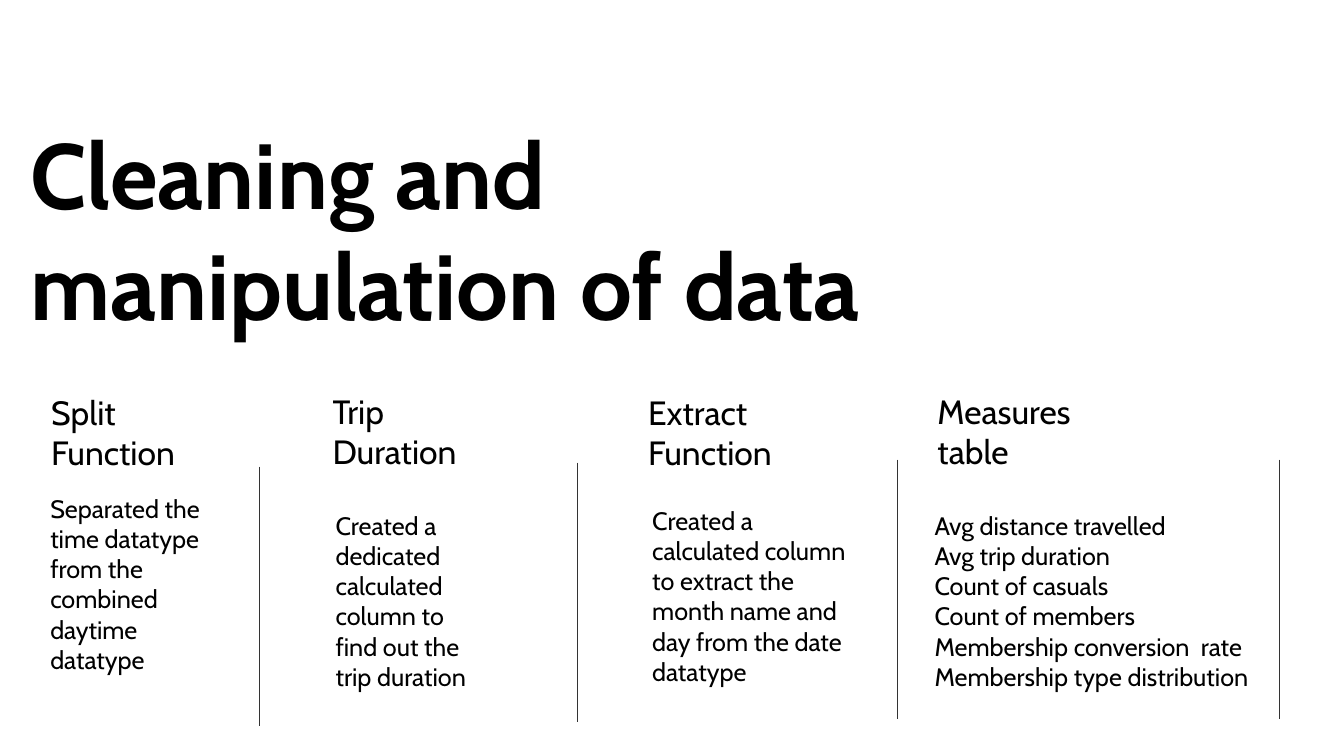
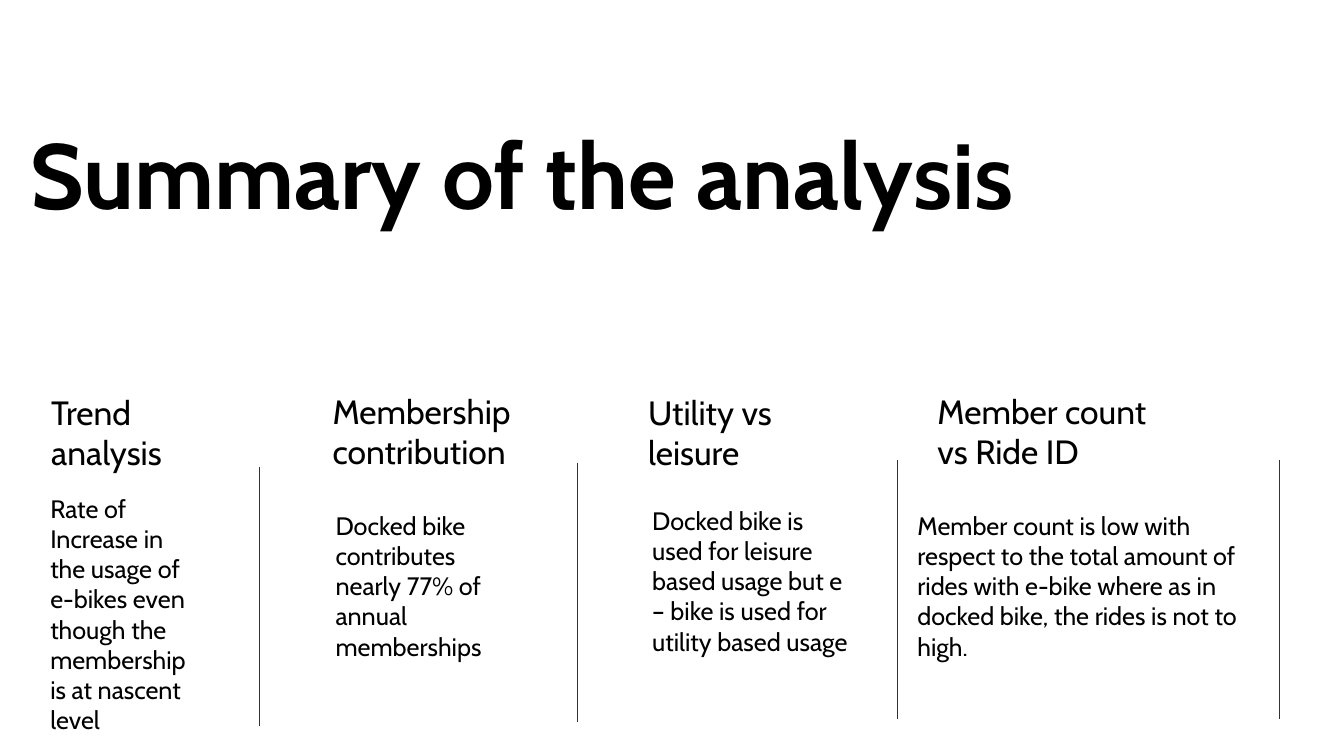
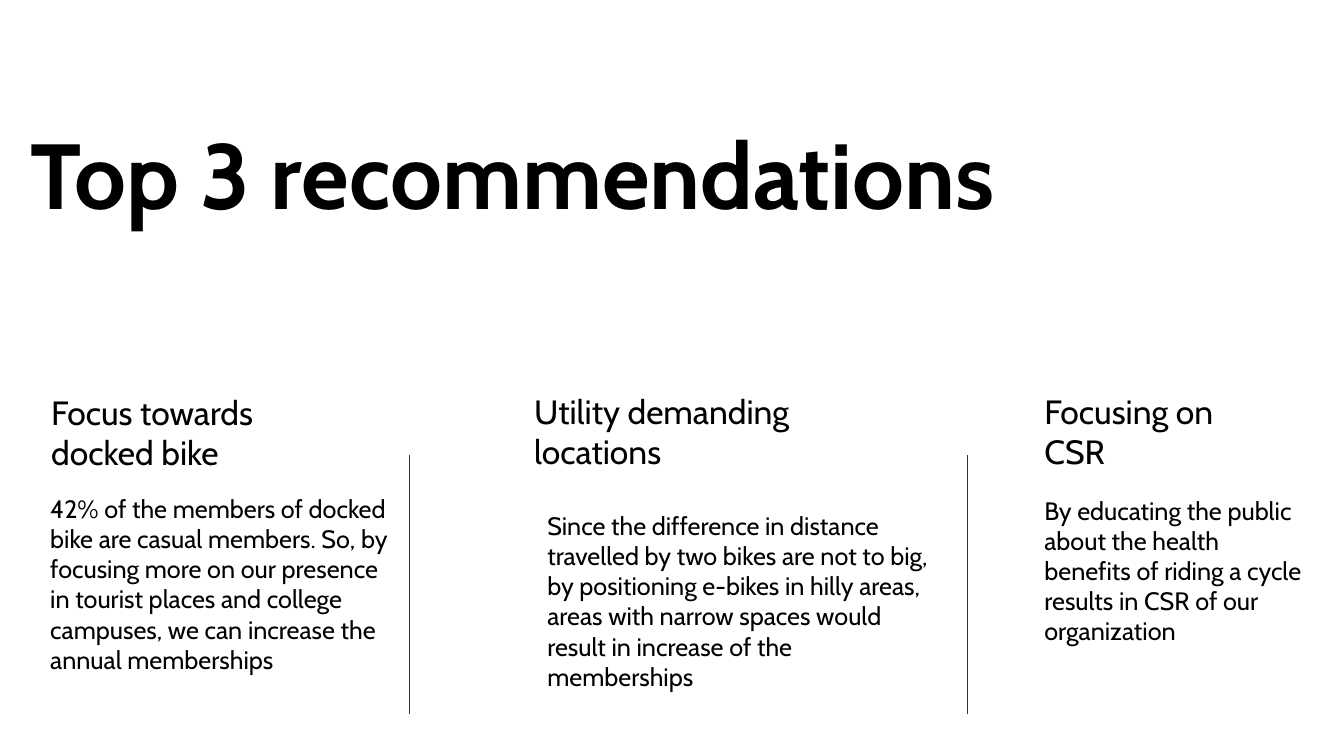
from lxml import etree
from pptx import Presentation
from pptx.dml.color import RGBColor
from pptx.enum.shapes import MSO_CONNECTOR
from pptx.enum.text import MSO_ANCHOR, MSO_AUTO_SIZE
from pptx.oxml.ns import qn
from pptx.util import Pt

STRAIGHT = MSO_CONNECTOR.STRAIGHT
TOP = MSO_ANCHOR.TOP
GROW = MSO_AUTO_SIZE.SHAPE_TO_FIT_TEXT

# Shared look: 100 px to the inch
PX = 9144
COLORS = {"background": "FFFFFF", "text": "000000", "rule": "333333"}
FRAME = {"word_wrap": True, "auto_size": GROW, "vertical_anchor": TOP}
STYLES = {
    "title": {"name": "Cabin", "size": Pt(66), "bold": True},
    "heading": {"name": "Cabin", "size": Pt(24), "bold": False},
    "body": {"name": "Cabin", "size": Pt(18), "bold": False},
}
TITLE_BOX = (20, 111, 1018, 232)
HEADING_HEIGHT = 91
RULE_HEIGHT = 257
LIST_INDENT = 17

# Rules (x, top) and column places (heading left, top, body left, top)
FOUR_RULES = [(257, 463), (573, 459), (890, 456), (1269, 456)]
FOUR_PLACES = [(41, 384, 40, 484), (320, 383, 323, 501),
               (633, 384, 637, 496), (920, 383, 900, 501)]
THREE_RULES = [(406, 451), (959, 451)]
THREE_PLACES = [(41, 384, 40, 484), (520, 383, 533, 501), (1026, 383, 1026, 486)]

# Columns: heading, heading width, body paragraphs, body width, body height
SLIDES = [
    ("Cleaning and manipulation of data", FOUR_RULES, FOUR_PLACES, [
        ("Split Function", 196,
         ["Separated the time datatype from the combined daytime datatype"], 171, 222),
        ("Trip Duration", 196,
         ["Created a dedicated calculated column to find out the trip duration"], 171, 192),
        ("Extract Function", 196,
         ["Created a calculated column to extract the month name and day from the "
          "date datatype"], 222, 192),
        ("Measures table", 196,
         ["Avg distance travelled", "Avg trip duration", "Count of casuals",
          "Count of members", "Membership conversion  rate",
          "Membership type distribution"], 371, 192),
    ]),
    ("Summary of the analysis", FOUR_RULES, FOUR_PLACES, [
        ("Trend analysis", 196,
         ["Rate of Increase in the usage of e-bikes even though the membership is at "
          "nascent level"], 171, 252),
        ("Membership contribution", 223,
         ["Docked bike contributes nearly 77% of annual memberships"], 171, 162),
        ("Utility vs leisure", 196,
         ["Docked bike is used for leisure based usage but e – bike is used for "
          "utility based usage"], 222, 192),
        ("Member count vs Ride ID", 256,
         ["Member count is low with respect to the total amount of rides with e-bike "
          "where as in docked bike, the rides is not to high."], 371, 162),
    ]),
    ("Top 3 recommendations", THREE_RULES, THREE_PLACES, [
        ("Focus towards docked bike", 262,
         ["42% of the members of docked bike are casual members. So, by focusing more "
          "on our presence in tourist places and college campuses, we can increase "
          "the annual memberships"], 366, 222),
        ("Utility demanding locations", 285,
         ["Since the difference in distance travelled by two bikes are not to big, by "
          "positioning e-bikes in hilly areas, areas with narrow spaces would result "
          "in increase of the memberships"], 408, 192),
        ("Focusing on CSR", 222,
         ["By educating the public about the health benefits of riding a cycle "
          "results in CSR of our organization"], 282, 162),
    ]),
]


def add_text(slide, box, paragraphs, style):
    sp = slide.shapes.add_textbox(*[v * PX for v in box])
    tf = sp.text_frame
    for key, value in FRAME.items():
        setattr(tf, key, value)
    for i, text in enumerate(paragraphs):
        p = tf.paragraphs[0] if i == 0 else tf.add_paragraph()
        if len(paragraphs) > 1:
            p._p.get_or_add_pPr().set("marL", str(LIST_INDENT * PX))
        r = p.add_run()
        r.text = text
        for key, value in STYLES[style].items():
            setattr(r.font, key, value)
        r.font.color.rgb = RGBColor.from_string(COLORS["text"])


def add_rule(slide, x, top):
    line = slide.shapes.add_connector(
        STRAIGHT, x * PX, top * PX, x * PX, (top + RULE_HEIGHT) * PX)
    line.line.color.rgb = RGBColor.from_string(COLORS["rule"])
    line.line.width = Pt(0.5)
    etree.SubElement(line._element.spPr, qn("a:effectLst"))


prs = Presentation()
prs.slide_width = 1333 * PX
prs.slide_height = 750 * PX

for title, rules, places, columns in SLIDES:
    slide = prs.slides.add_slide(prs.slide_layouts[6])
    fill = slide.background.fill
    fill.solid()
    fill.fore_color.rgb = RGBColor.from_string(COLORS["background"])

    # Title and dividing rules
    add_text(slide, TITLE_BOX, [title], "title")
    for x, top in rules:
        add_rule(slide, x, top)

    # Columns
    for place, column in zip(places, columns):
        head_left, head_top, body_left, body_top = place
        heading, head_width, body, body_width, body_height = column
        add_text(slide, (head_left, head_top, head_width, HEADING_HEIGHT),
                 [heading], "heading")
        add_text(slide, (body_left, body_top, body_width, body_height), body, "body")

prs.save("out.pptx")
